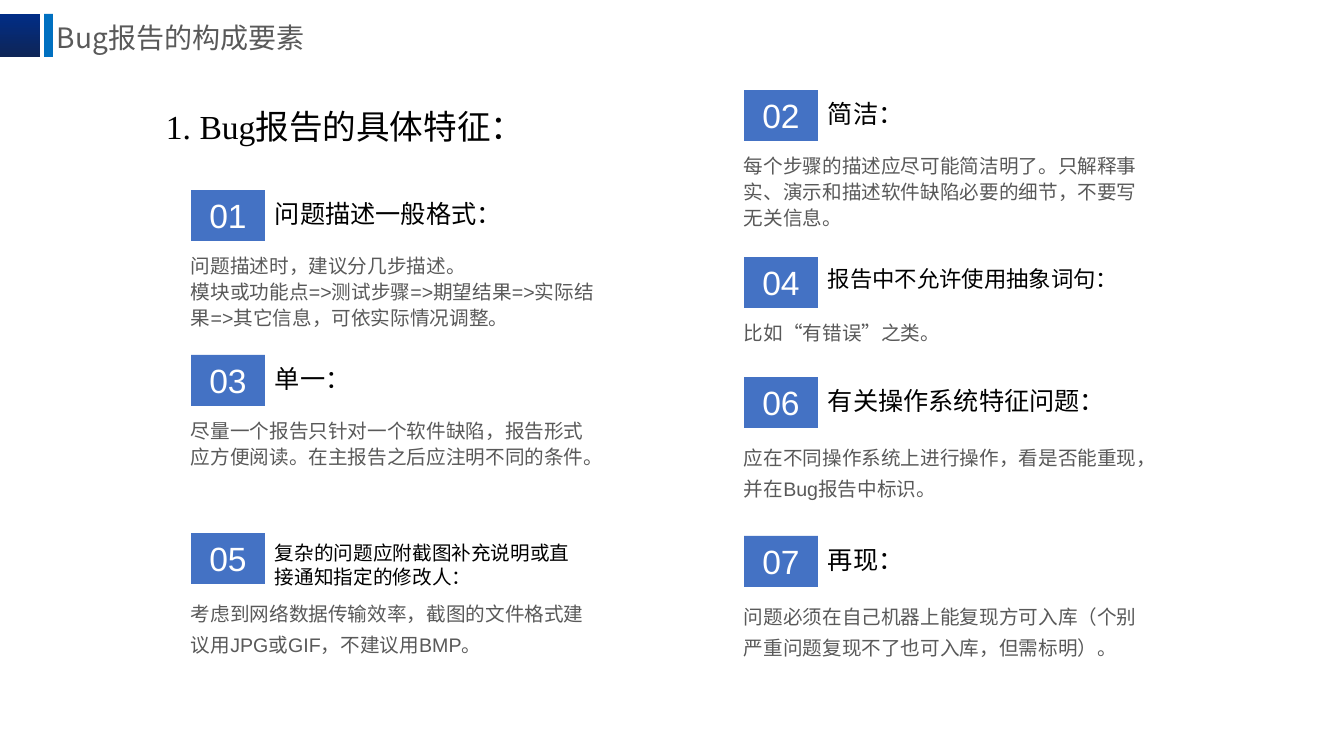
from pptx import Presentation, util as u
from pptx.enum import lang, shapes, text
from pptx.dml.color import RGBColor
from pptx.oxml.ns import qn
from lxml import etree

COLORS = {
    "navy": "012D86", "deep": "0E2557", "bar": "0070C0", "tile": "4472C4",
    "grey": "595959", "black": "000000", "white": "FFFFFF",
}
SANS, SERIF, HAN = "Arial", "Times New Roman", "Noto Sans CJK SC"
LEFT, RIGHT = 191, 744

# tile x, tile y, number, heading, heading size, line spacing, paragraphs
ITEMS = [
    (LEFT, 190, "01", "问题描述一般格式：", 18, 1.1,
     ["问题描述时，建议分几步描述。",
      "模块或功能点=>测试步骤=>期望结果=>实际结果=>其它信息，可依实际情况调整。"]),
    (RIGHT, 90, "02", "简洁：", 18, 1.1,
     ["每个步骤的描述应尽可能简洁明了。只解释事实、演示和描述软件缺陷必要的细节，不要写无关信息。"]),
    (LEFT, 355, "03", "单一：", 18, 1.1,
     ["尽量一个报告只针对一个软件缺陷，报告形式应方便阅读。在主报告之后应注明不同的条件。"]),
    (RIGHT, 257, "04", "报告中不允许使用抽象词句：", 16, 1.1,
     ["比如“有错误”之类。"]),
    (LEFT, 533, "05", "复杂的问题应附截图补充说明或直接通知指定的修改人：", 14, 1.3,
     ["考虑到网络数据传输效率，截图的文件格式建议用JPG或GIF，不建议用BMP。"]),
    (RIGHT, 377, "06", "有关操作系统特征问题：", 18, 1.3,
     ["应在不同操作系统上进行操作，看是否能重现，并在Bug报告中标识。"]),
    (RIGHT, 536, "07", "再现：", 18, 1.3,
     ["问题必须在自己机器上能复现方可入库（个别严重问题复现不了也可入库，但需标明）。"]),
]


def px(n):
    return u.Emu(round(n * 914400 / 100.8))


def rgb(name):
    return RGBColor.from_string(COLORS[name])


def write(frame, lines, size, color, face=SANS, gap=None, align=None):
    """Fill a text frame with one run per paragraph."""
    frame.word_wrap = True
    for i, line in enumerate(lines):
        para = frame.paragraphs[0] if i == 0 else frame.add_paragraph()
        para.line_spacing = gap
        para.alignment = align
        run = para.add_run()
        run.text = line
        font = run.font
        font.size = u.Pt(size)
        font.name = face
        font.color.rgb = rgb(color)
        font.language_id = lang.MSO_LANGUAGE_ID.SIMPLIFIED_CHINESE
        etree.SubElement(run._r.get_or_add_rPr(), qn("a:ea"), typeface=HAN)


def add_rect(slide, x, y, w, h, color):
    rect = slide.shapes.add_shape(
        shapes.MSO_SHAPE.RECTANGLE, px(x), px(y), px(w), px(h))
    rect.shadow.inherit = False
    rect.line.fill.background()
    rect.fill.solid()
    rect.fill.fore_color.rgb = rgb(color)
    return rect


def add_text(slide, x, y, w, h, lines, size, color, **style):
    box = slide.shapes.add_textbox(px(x), px(y), px(w), px(h))
    write(box.text_frame, lines, size, color, **style)
    return box


def add_item(slide, x, y, num, head, size, gap, body):
    tile = add_rect(slide, x, y, 74, 51, "tile")
    tile.text_frame.vertical_anchor = text.MSO_ANCHOR.MIDDLE
    write(tile.text_frame, [num], 24, "white", align=text.PP_ALIGN.CENTER)
    add_text(slide, x - 10, y + 57, 428, 93, body, 14, "grey", gap=gap)
    add_text(slide, x + 74, y + 3, 323, 44, [head], size, "black")


def add_header(slide):
    block = add_rect(slide, -1, 14, 41, 43, "navy")
    block.fill.gradient()
    block.fill.gradient_angle = 270
    for stop, (spot, color) in zip(block.fill.gradient_stops,
                                   [(0, "navy"), (1, "deep")]):
        stop.position = spot
        stop.color.rgb = rgb(color)
    add_rect(slide, 44, 14, 9, 43, "bar")
    title = add_text(slide, 47, 6, 329, 62, ["Bug报告的构成要素"],
                     20, "grey", face=HAN)
    title.text_frame.vertical_anchor = text.MSO_ANCHOR.MIDDLE


def main():
    deck = Presentation()
    deck.slide_width, deck.slide_height = px(1344), px(756)
    slide = deck.slides.add_slide(deck.slide_layouts[6])
    add_header(slide)
    add_text(slide, 156, 101, 560, 50, ["1. Bug报告的具体特征："],
             24, "black", face=SERIF)
    for item in ITEMS:
        add_item(slide, *item)
    deck.save("out.pptx")


if __name__ == "__main__":
    main()
